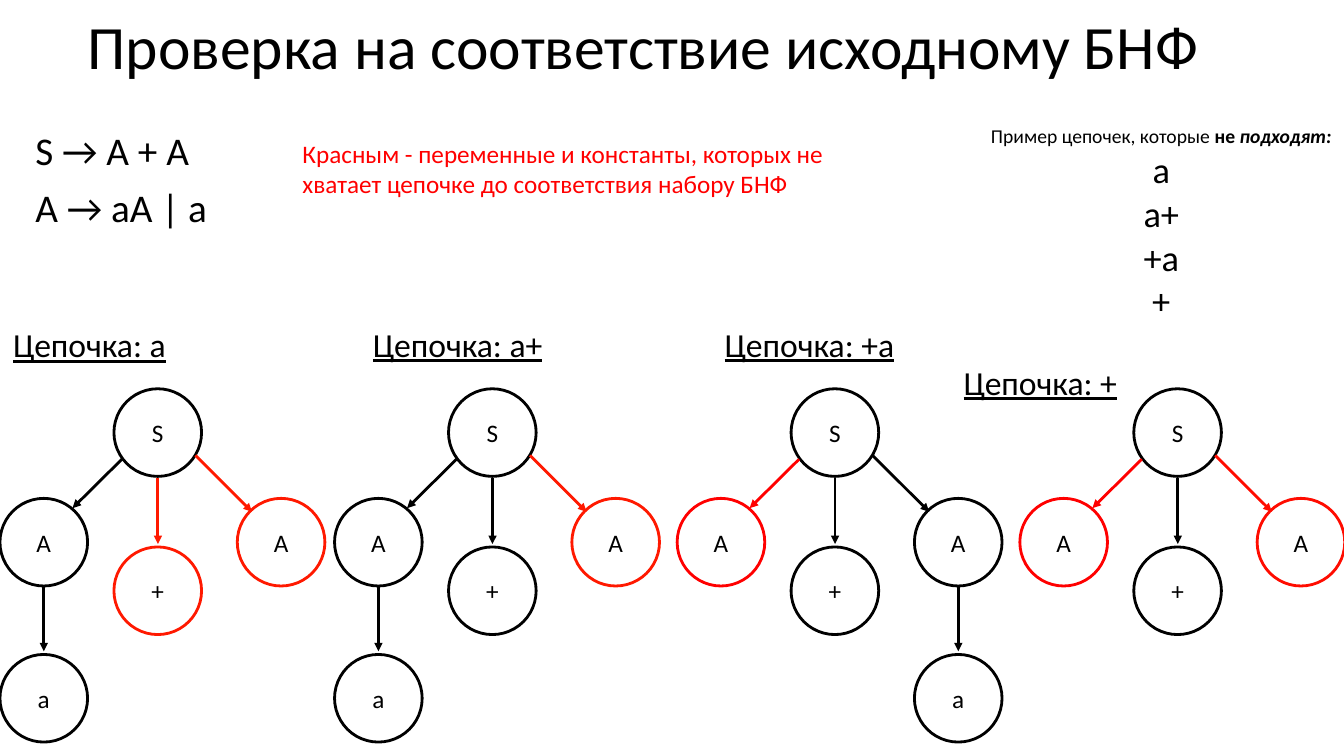
from lxml import etree
from pptx import Presentation
from pptx.dml.color import RGBColor
from pptx.enum.shapes import MSO_CONNECTOR, MSO_SHAPE
from pptx.enum.text import MSO_ANCHOR, PP_ALIGN
from pptx.oxml.ns import qn
from pptx.util import Pt

LINE, OVAL = MSO_CONNECTOR.STRAIGHT, MSO_SHAPE.OVAL
LEFT, MID = PP_ALIGN.LEFT, PP_ALIGN.CENTER
TOP, CENTER = MSO_ANCHOR.TOP, MSO_ANCHOR.MIDDLE
BLACK, WHITE, RED, FLAME, SCARLET = "000000", "FFFFFF", "FF0000", "FF1900", "FF0C00"

# Content: a paragraph is a list of (text, size, style) runs
TITLE = "Проверка на соответствие исходному БНФ"
RULES = ["S → A + A", "A → aA | a"]
NOTE = "Красным - переменные и константы, которых не хватает цепочке до соответствия набору БНФ"
CHAINS = ["a", "a+", "+a", "+"]
HEAD = [("Пример цепочек, которые ", 14, ""), ("не ", 14, "b"), ("подходят:", 14, "bi")]

# Trees: left edge, label box, colours of the three branches, branch that ends in "a"
TREES = [
    dict(x=0, label=(5.76, 228.2, 117.4), hues=(BLACK, FLAME, FLAME), leaf="left"),
    dict(x=239, label=(262.8, 227.5, 129.6), hues=(BLACK, BLACK, FLAME), leaf="left"),
    dict(x=483.7, label=(514.1, 227.5, 129.6), hues=(RED, BLACK, BLACK), leaf="right"),
    dict(x=728.5, label=(684.7, 254.9, 118.1), hues=(RED, BLACK, SCARLET), leaf=None),
]

# Tree layout: node corners and arrows, measured from the tree's left edge
SIZE, SPAN = 62.6, 169.5
ROOT = (81.4, 277.7)
NODES = {"left": ("A", 0, 356), "mid": ("+", 81.4, 390.7), "right": ("A", SPAN, 356)}
ARROWS = {"left": (87.1, 328, 51.8, 363), "mid": (112.8, 341.3, 112.8, 388.6),
          "right": (139.6, 325.3, 180, 365.6)}
LEAF_Y, DROP = 467.5, (418.5, 465.2)

deck = Presentation()
deck.slide_width, deck.slide_height = Pt(960), Pt(540)
slide = deck.slides.add_slide(deck.slide_layouts[6])
shapes = slide.shapes


def paint(hue):
    return RGBColor.from_string(hue)


def write(shape, paras, size=18, hue=BLACK, align=LEFT, anchor=TOP, style="",
          wrap=True, space=None, before=0, indent=0):
    frame = shape.text_frame
    frame.word_wrap, frame.vertical_anchor = wrap, anchor
    frame.margin_left = frame.margin_right = Pt(3.6)
    frame.margin_top = frame.margin_bottom = Pt(3.6)
    for i, runs in enumerate(paras):
        para = frame.paragraphs[0] if i == 0 else frame.add_paragraph()
        para.alignment, para.line_spacing = align, space
        para.space_before = Pt(before)
        if indent:
            para._p.get_or_add_pPr().set("marL", str(Pt(indent)))
        if isinstance(runs, str):
            runs = [(runs, size, style)]
        for text, points, marks in runs:
            run = para.add_run()
            run.text = text
            font = run.font
            font.name, font.size, font.color.rgb = "Calibri", Pt(points), paint(hue)
            font.bold, font.italic, font.underline = "b" in marks, "i" in marks, "u" in marks


def box(x, y, w, h, paras, **form):
    write(shapes.add_textbox(Pt(x), Pt(y), Pt(w), Pt(h)), paras, **form)


def node(text, x, y, hue=BLACK):
    ring = shapes.add_shape(OVAL, Pt(x), Pt(y), Pt(SIZE), Pt(SIZE))
    ring.shadow.inherit = False
    ring.fill.solid()
    ring.fill.fore_color.rgb = paint(WHITE)
    ring.line.color.rgb, ring.line.width = paint(hue), Pt(2)
    write(ring, [text], align=MID, anchor=CENTER)


def arrow(x1, y1, x2, y2, hue=BLACK):
    link = shapes.add_connector(LINE, Pt(x1), Pt(y1), Pt(x2), Pt(y2))
    link.line.color.rgb, link.line.width = paint(hue), Pt(2)
    etree.SubElement(link.line._get_or_add_ln(), qn("a:tailEnd"), type="triangle")
    etree.SubElement(link._element.spPr, qn("a:effectLst"))


# Heading, grammar, note and list of chains
box(59, 0.7, 828, 69.1, [TITLE], size=44, anchor=CENTER, space=0.9)
box(3.6, 90.7, 250.6, 120.2, RULES, size=28, space=0.9, before=10, indent=18)
box(212.4, 95, 403.9, 51.1, [NOTE], hue=RED)
box(646.6, 85, 365.8, 151.2, [HEAD] + CHAINS, size=26, align=MID)

# Derivation trees
for chain, tree in zip(CHAINS, TREES):
    x = tree["x"]
    left, top, wide = tree["label"]
    box(left, top, wide, 31, ["Цепочка: " + chain], size=24, style="u", wrap=False)
    node("S", x + ROOT[0], ROOT[1])
    for side, hue in zip(NODES, tree["hues"]):
        text, dx, y = NODES[side]
        x1, y1, x2, y2 = ARROWS[side]
        node(text, x + dx, y, hue)
        arrow(x + x1, y1, x + x2, y2, hue)
    if tree["leaf"]:
        edge = x + NODES[tree["leaf"]][1]
        node("a", edge, LEAF_Y)
        arrow(edge + SIZE / 2, DROP[0], edge + SIZE / 2, DROP[1])

deck.save("out.pptx")
